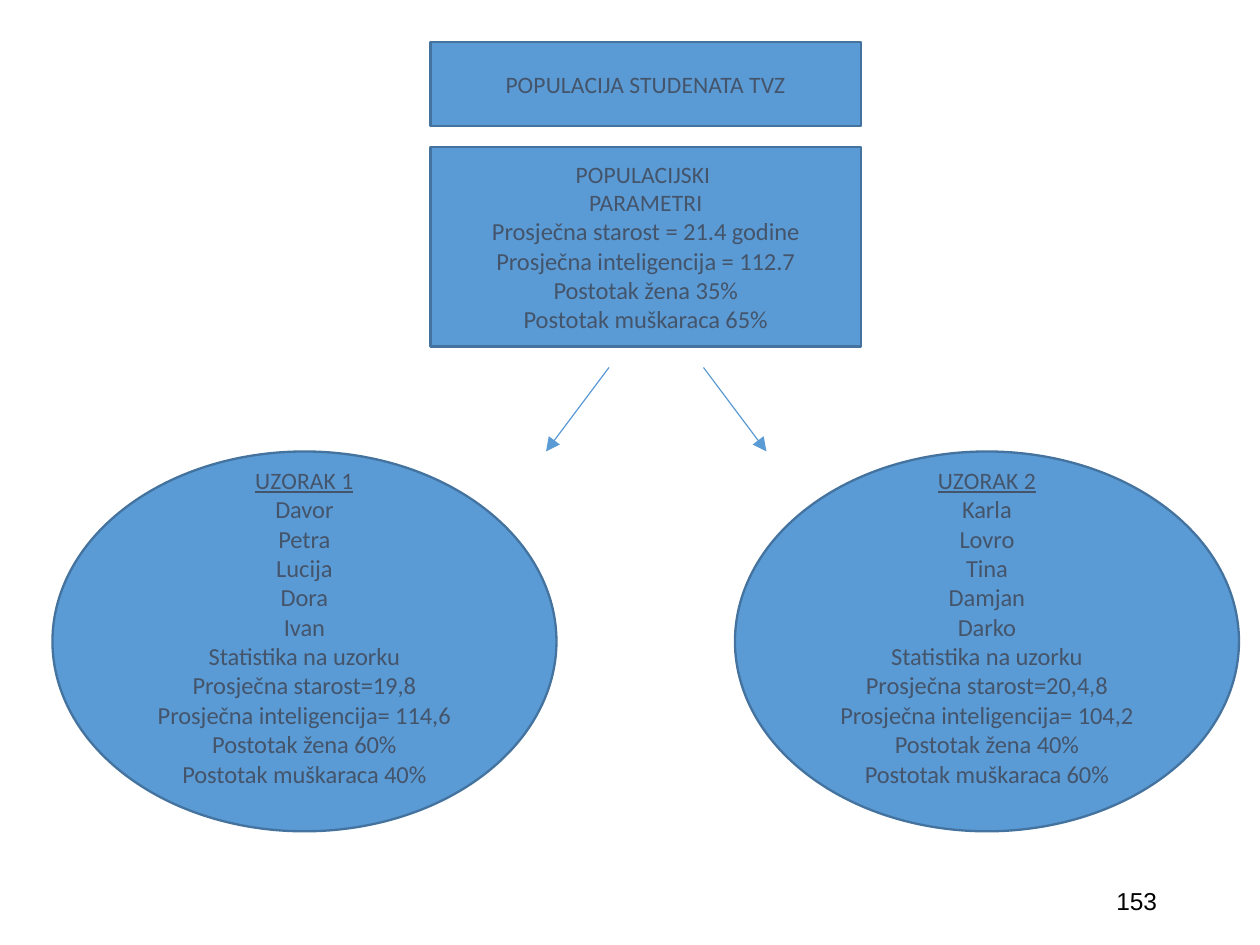
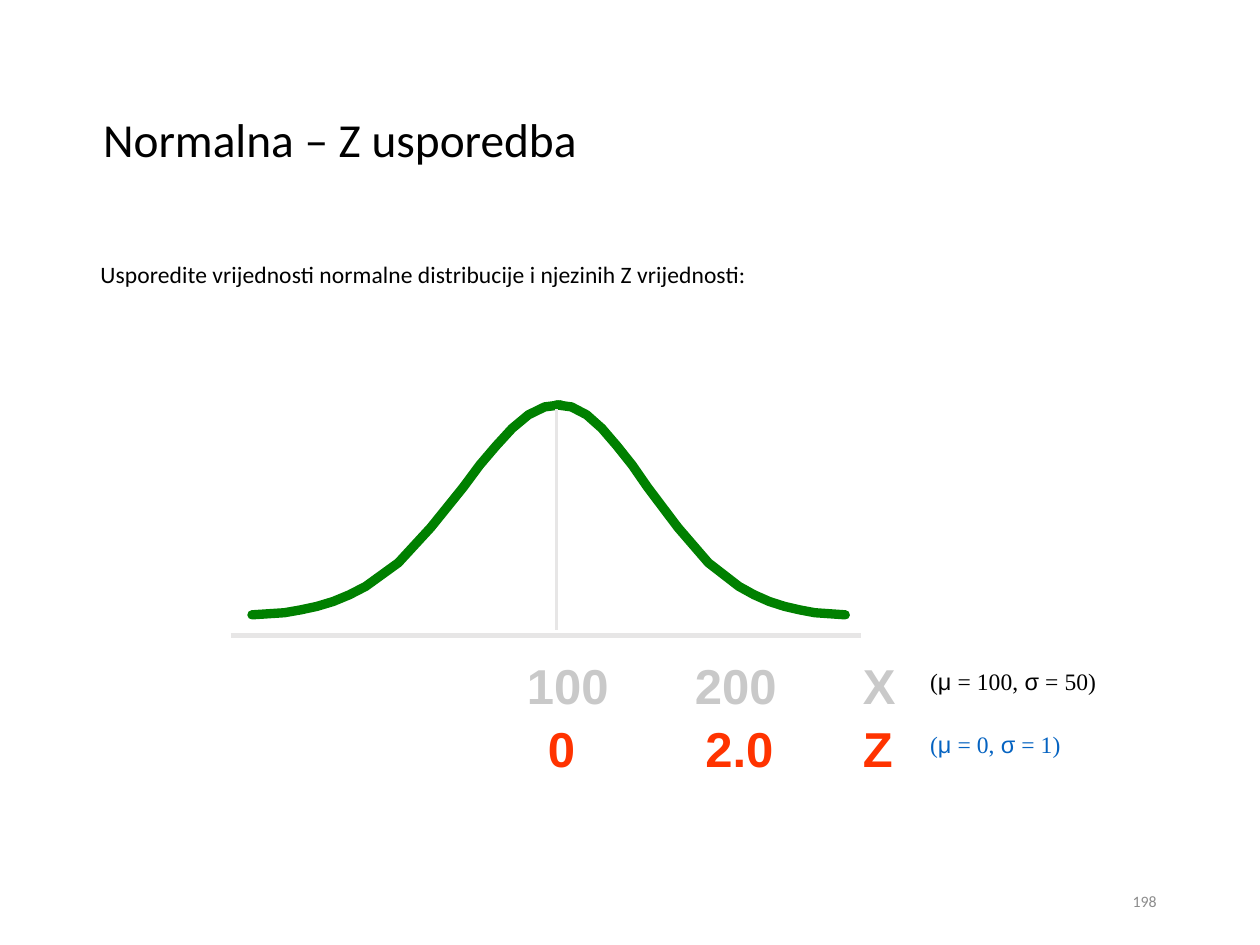
from dataclasses import dataclass
from typing import Optional

from lxml import etree
from pptx import Presentation
from pptx.dml.color import RGBColor
from pptx.enum.shapes import MSO_CONNECTOR, MSO_SHAPE
from pptx.enum.text import MSO_ANCHOR, PP_ALIGN
from pptx.oxml.ns import qn
from pptx.util import Pt

BLUE, DARK_BLUE, SLATE = "5B9BD5", "43739E", "44546A"
BLACK, GREY, PALE, LABEL_GREY = "000000", "8C8C8C", "E7E6E6", "C9C9C9"
GREEN, RED, LINK_BLUE = "008000", "FF3300", "0563C1"
SMALL, BODY = 10.13, 10.5

# Horizontal step and height of the bell curve, from its tail to its peak
BELL = ((0, 263.5), (2, 262.6), (3, 261.4), (4, 259.9), (5, 257.8), (6, 254.9),
        (7, 251.3), (9, 241.2), (11, 226.1), (13, 208.8), (14, 199.4),
        (15, 191.2), (16, 183.6), (17, 177.8), (18, 174.4), (19, 173.5))


@dataclass(frozen=True)
class Box:
    left: float
    top: float
    width: float
    height: float

    def lengths(self) -> list:
        return [Pt(value) for value in (self.left, self.top, self.width, self.height)]


@dataclass(frozen=True)
class Style:
    size: float
    color: str
    font: str = "Calibri"
    bold: bool = False


@dataclass(frozen=True)
class Sample:
    left: float
    heading: str
    names: tuple
    age: str
    intelligence: str
    women: int

    def lines(self) -> list:
        return [self.heading, *self.names, "Statistika na uzorku",
                f"Prosječna starost={self.age}",
                f"Prosječna inteligencija= {self.intelligence}",
                f"Postotak žena {self.women}%",
                f"Postotak muškaraca {100 - self.women}%"]


@dataclass(frozen=True)
class AxisRow:
    """One scale under the curve: mean, marked value, name and parameters."""
    top: float
    color: str
    labels: tuple
    note_top: float
    note_color: str
    mean: int
    deviation: int


SAMPLES = (
    Sample(22.5, "UZORAK 1", ("Davor", "Petra", "Lucija", "Dora", "Ivan"),
           "19,8", "114,6", 60),
    Sample(315, "UZORAK 2", ("Karla", "Lovro", "Tina", "Damjan", "Darko"),
           "20,4,8", "104,2", 40),
)
AXIS_ROWS = (
    AxisRow(278.4, LABEL_GREY, (("100", 220.5), ("200", 292.5), ("X", 364.5)),
            282.2, BLACK, 100, 50),
    AxisRow(305.3, RED, (("0", 229.5), ("2.0", 297), ("Z", 364.5)), 309.4, LINK_BLUE, 0, 1),
)


def rgb(color: str) -> RGBColor:
    return RGBColor.from_string(color)


def format_font(font, style: Style) -> None:
    font.name, font.size, font.bold = style.font, Pt(style.size), style.bold
    font.color.rgb = rgb(style.color)


def add_text(slide, box: Box, text: str, style: Style, align=PP_ALIGN.LEFT,
             anchor=MSO_ANCHOR.TOP, wrap: bool = True, insets: Optional[tuple] = None):
    frame = slide.shapes.add_textbox(*box.lengths()).text_frame
    frame.word_wrap, frame.vertical_anchor = wrap, anchor
    if insets:
        frame.margin_left = frame.margin_right = Pt(insets[0])
        frame.margin_top = frame.margin_bottom = Pt(insets[1])
    frame.text = text
    paragraph = frame.paragraphs[0]
    paragraph.alignment = align
    for run in paragraph.runs:
        format_font(run.font, style)
    return paragraph


def add_page_number(slide, number: str, style: Style) -> None:
    add_text(slide, Box(381.4, 375.3, 121.5, 21.6), number, style,
             PP_ALIGN.RIGHT, MSO_ANCHOR.MIDDLE)


def add_panel(slide, kind, box: Box, lines: list, small_lines: int, bottom_inset: float = 3.6):
    """Draw a blue shape whose first lines are in the smaller size."""
    shape = slide.shapes.add_shape(kind, *box.lengths())
    shape.shadow.inherit = False
    shape.fill.solid()
    shape.fill.fore_color.rgb = rgb(BLUE)
    shape.line.color.rgb = rgb(DARK_BLUE)
    shape.line.width = Pt(1)
    frame = shape.text_frame
    frame.word_wrap, frame.vertical_anchor = True, MSO_ANCHOR.MIDDLE
    frame.margin_bottom = Pt(bottom_inset)
    frame.text = "\n".join(lines)
    for index, paragraph in enumerate(frame.paragraphs):
        paragraph.alignment = PP_ALIGN.CENTER
        size = SMALL if index < small_lines else BODY
        format_font(paragraph.runs[0].font, Style(size, SLATE))
    return shape


def add_line(slide, start: tuple, end: tuple, color: str, width: float,
             arrow: bool = False) -> None:
    connector = slide.shapes.add_connector(
        MSO_CONNECTOR.STRAIGHT, *(Pt(value) for value in start + end))
    connector.line.color.rgb = rgb(color)
    connector.line.width = Pt(width)
    if arrow:
        etree.SubElement(connector.line._get_or_add_ln(), qn("a:tailEnd"), type="triangle")
    etree.SubElement(connector._element.spPr, qn("a:effectLst"))


def add_half_bell(slide, start: float, step: float) -> None:
    points = [(Pt(start + step * count), Pt(height)) for count, height in BELL]
    builder = slide.shapes.build_freeform(*points[0])
    builder.add_line_segments(points[1:], close=False)
    curve = builder.convert_to_shape()
    curve.shadow.inherit = False
    curve.fill.background()
    curve.line.color.rgb = rgb(GREEN)
    curve.line.width = Pt(4)
    outline = curve.line._get_or_add_ln()
    outline.set("cap", "rnd")
    etree.SubElement(outline, qn("a:round"))


def add_parameters(slide, row: AxisRow) -> None:
    """Write the mean and deviation, with Greek letters in Arial."""
    style = Style(SMALL, row.note_color, "Times New Roman")
    paragraph = add_text(slide, Box(391.5, row.note_top, 116.6, 19.4), "(", style)
    for text in ("μ", f" = {row.mean}, ", "σ", f" = {row.deviation})"):
        run = paragraph.add_run()
        run.text = text
        format_font(run.font, Style(SMALL, row.note_color, "Arial") if text in "μσ" else style)


def build_population_slide(slide) -> None:
    add_page_number(slide, "153", Style(BODY, BLACK, "Arial"))
    add_panel(slide, MSO_SHAPE.RECTANGLE, Box(184.5, 18, 184.5, 36),
              ["POPULACIJA STUDENATA TVZ"], 1)
    add_panel(slide, MSO_SHAPE.RECTANGLE, Box(184.5, 63, 184.5, 85.5),
              ["POPULACIJSKI ", "PARAMETRI", "Prosječna starost = 21.4 godine",
               "Prosječna inteligencija = 112.7", "Postotak žena 35%",
               "Postotak muškaraca 65%"], 2)
    for sample in SAMPLES:
        ellipse = add_panel(slide, MSO_SHAPE.OVAL, Box(sample.left, 193.5, 216, 162.8),
                            sample.lines(), 1, bottom_inset=16)
        ellipse.text_frame.paragraphs[0].runs[0].font.underline = True
    for start, end in ((261, 234), (301.5, 328.5)):
        add_line(slide, (start, 157.5), (end, 193.5), BLUE, 0.5, arrow=True)


def build_comparison_slide(slide) -> None:
    title = add_text(slide, Box(37.1, 21.6, 465.8, 78.3), "Normalna – Z usporedba",
                     Style(20.3, BLACK), anchor=MSO_ANCHOR.MIDDLE)
    title.line_spacing = 0.9
    add_page_number(slide, "198", Style(6.8, GREY))
    add_text(slide, Box(36, 108, 477, 19.4),
             "Usporedite vrijednosti normalne distribucije i njezinih Z vrijednosti:",
             Style(SMALL, BLACK))
    add_half_bell(slide, 108, 6.97)
    add_line(slide, (99, 272.3), (369, 272.3), PALE, 2.25)
    add_half_bell(slide, 362.3, -6.52)
    add_line(slide, (238.5, 175.5), (238.5, 270), PALE, 1)
    for row in AXIS_ROWS:
        for text, left in row.labels:
            add_text(slide, Box(left, row.top, 58, 31), text,
                     Style(21, row.color, "Arial", True), wrap=False, insets=(5.3, 2.6))
        add_parameters(slide, row)


def main() -> None:
    presentation = Presentation()
    presentation.slide_width, presentation.slide_height = Pt(540), Pt(405)
    blank = presentation.slide_layouts[6]
    for build in (build_population_slide, build_comparison_slide):
        build(presentation.slides.add_slide(blank))
    presentation.save("out.pptx")


if __name__ == "__main__":
    main()
